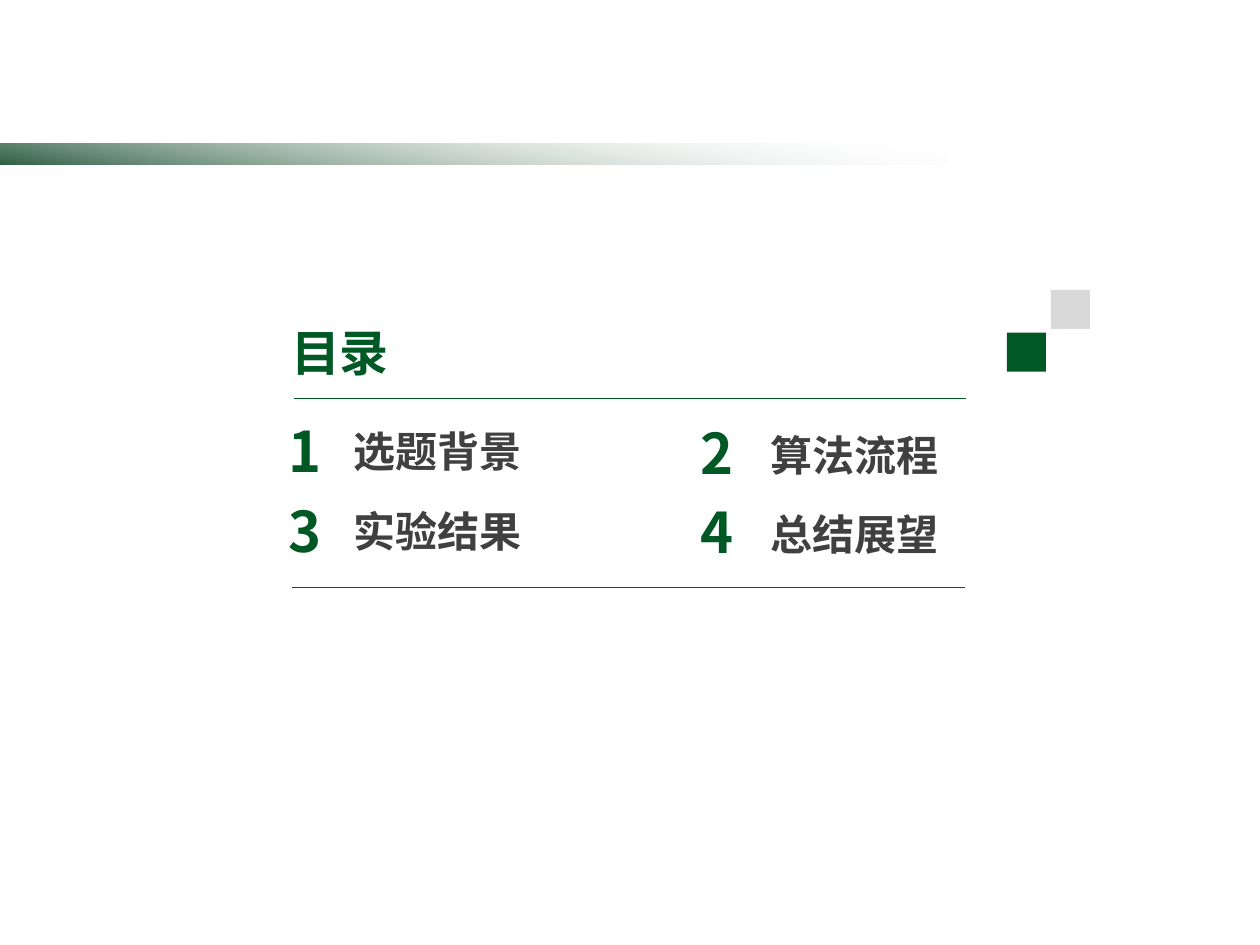
from dataclasses import dataclass

from lxml import etree
from pptx import Presentation
from pptx.dml.color import RGBColor
from pptx.enum import shapes, text
from pptx.oxml.ns import qn
from pptx.util import Inches, Pt


@dataclass(frozen=True)
class Theme:
    green: str = "005825"
    moss: str = "305F43"
    dark: str = "404040"
    grey: str = "D9D9D9"
    white: str = "FFFFFF"
    font: str = "Noto Sans CJK SC"
    title: int = 28
    digit: int = 32
    label: int = 24
    rule: float = 0.5


@dataclass(frozen=True)
class Box:
    left: float
    top: float
    width: float
    height: float

    def emu(self) -> tuple:
        return tuple(map(Inches, (self.left, self.top, self.width, self.height)))


@dataclass(frozen=True)
class Column:
    """Places of the number and the label in the first row."""
    digit: Box
    label: Box


THEME = Theme()
STEP = 0.63
COLUMNS = (
    Column(Box(2.18, 3.26, 0.48, 0.64), Box(2.71, 3.33, 1.55, 0.5)),
    Column(Box(5.45, 3.27, 0.48, 0.64), Box(6.02, 3.36, 1.55, 0.5)),
)
TOPICS = ("选题背景", "算法流程", "实验结果", "总结展望")


def write(shape, words: str, size: int, color: str, align=text.PP_ALIGN.LEFT) -> None:
    frame = shape.text_frame
    frame.text = words
    frame.word_wrap = False
    frame.auto_size = text.MSO_AUTO_SIZE.SHAPE_TO_FIT_TEXT
    frame.vertical_anchor = text.MSO_ANCHOR.TOP
    line = frame.paragraphs[0]
    line.alignment = align
    run = line.runs[0]
    font = run.font
    font.size, font.bold, font.name = Pt(size), True, THEME.font
    font.color.rgb = RGBColor.from_string(color)
    east = etree.SubElement(run._r.get_or_add_rPr(), qn("a:ea"))
    east.set("typeface", THEME.font)


def add_text(slide, box: Box, words: str, size: int, color: str,
             align=text.PP_ALIGN.LEFT) -> None:
    write(slide.shapes.add_textbox(*box.emu()), words, size, color, align)


def add_rect(slide, box: Box, color: str):
    rect = slide.shapes.add_shape(shapes.MSO_SHAPE.RECTANGLE, *box.emu())
    rect.shadow.inherit = False
    rect.line.fill.background()
    rect.fill.solid()
    rect.fill.fore_color.rgb = RGBColor.from_string(color)
    return rect


def add_fade(slide, box: Box) -> None:
    """Draw a bar that fades from moss green to clear white."""
    fill = add_rect(slide, box, THEME.moss).fill
    fill.gradient()
    fill.gradient_angle = 80
    for stop, color, place in zip(fill.gradient_stops, (THEME.moss, THEME.white), (0, 1)):
        stop.color.rgb = RGBColor.from_string(color)
        stop.position = place
    tint = stop._gs.find(qn("a:srgbClr"))
    etree.SubElement(tint, qn("a:alpha")).set("val", "0")


def add_rule(slide, left: float, top: float, width: float) -> None:
    rule = slide.shapes.add_connector(
        shapes.MSO_CONNECTOR.STRAIGHT,
        Inches(left), Inches(top), Inches(left + width), Inches(top))
    rule.line.color.rgb = RGBColor.from_string(THEME.green)
    rule.line.width = Pt(THEME.rule)
    etree.SubElement(rule._element.spPr, qn("a:effectLst"))


def add_topic(slide, index: int, topic: str) -> None:
    row, col = divmod(index, len(COLUMNS))
    spot = COLUMNS[col]
    digit, label = (Box(b.left, b.top + row * STEP, b.width, b.height)
                    for b in (spot.digit, spot.label))
    add_text(slide, digit, str(index + 1), THEME.digit, THEME.green,
             text.PP_ALIGN.CENTER)
    add_text(slide, label, topic, THEME.label, THEME.dark)


def main() -> None:
    deck = Presentation()
    deck.slide_width, deck.slide_height = Inches(10), Inches(7.5)
    slide = deck.slides.add_slide(deck.slide_layouts.get_by_name("Title Only"))

    add_fade(slide, Box(0, 1.14, 7.53, 0.17))
    title = slide.shapes.title
    title.left, title.top, title.width, title.height = Box(2.21, 2.51, 0.99, 0.57).emu()
    write(title, "目录", THEME.title, THEME.green)

    add_rule(slide, 2.33, 3.16, 5.34)
    add_rule(slide, 2.32, 4.66, 5.34)
    for index, topic in enumerate(TOPICS):
        add_topic(slide, index, topic)

    add_rect(slide, Box(7.99, 2.64, 0.31, 0.31), THEME.green)
    add_rect(slide, Box(8.34, 2.3, 0.31, 0.31), THEME.grey)
    deck.save("out.pptx")


if __name__ == "__main__":
    main()
